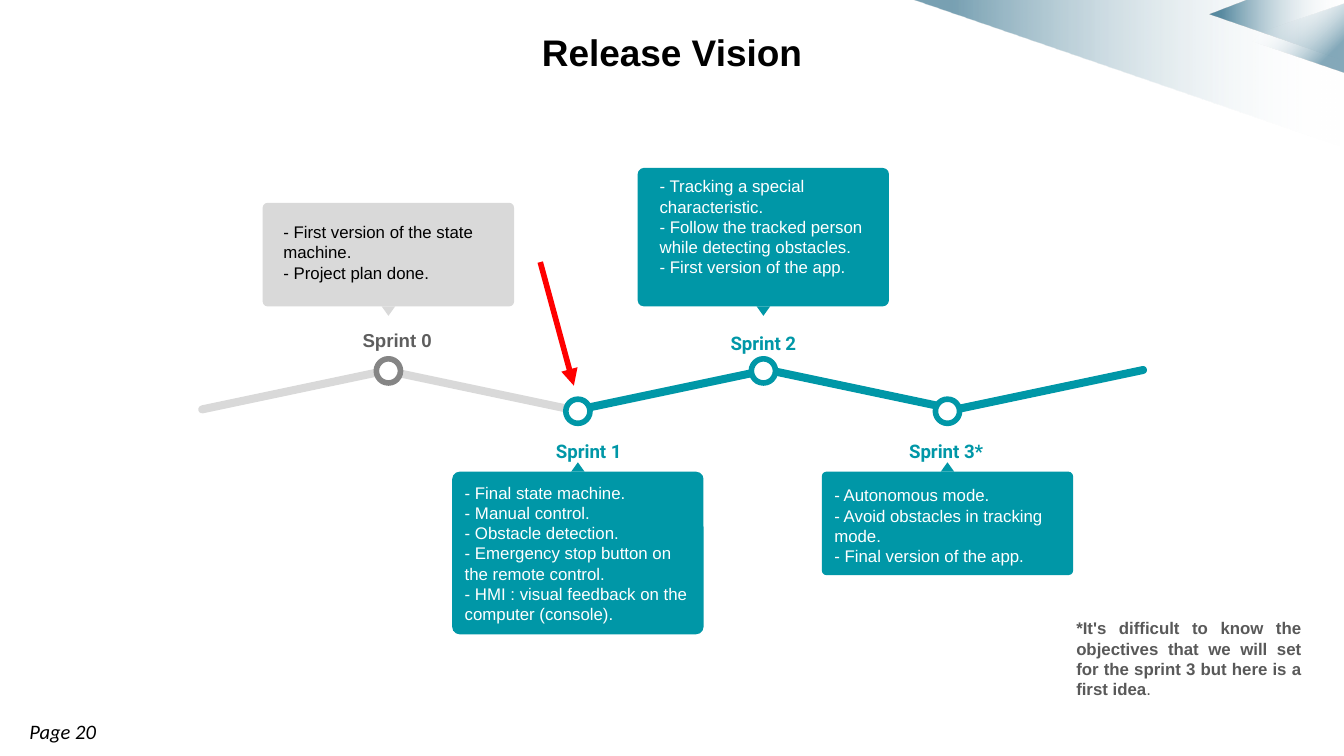
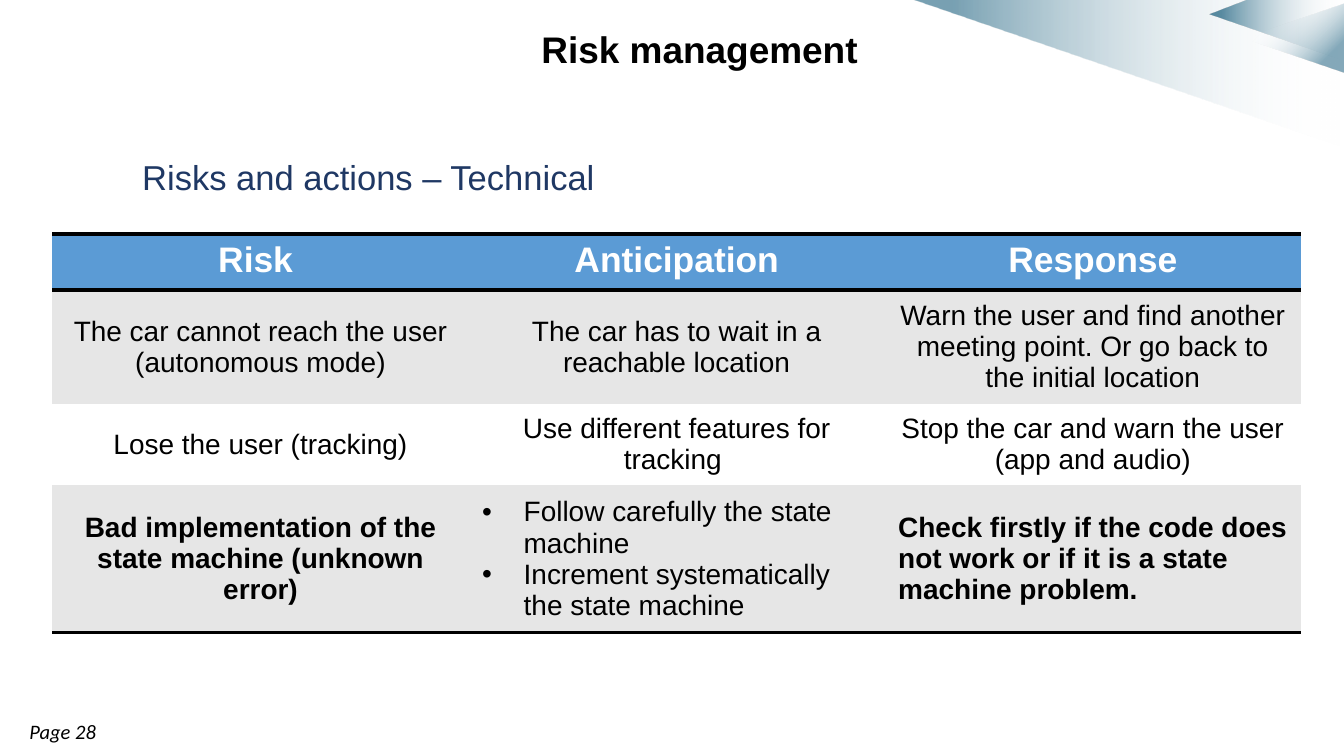
from dataclasses import dataclass

from lxml.etree import SubElement
from pptx import Presentation
from pptx.dml.color import RGBColor
from pptx.enum.shapes import MSO_CONNECTOR as Link, MSO_SHAPE as Kind
from pptx.enum.text import MSO_ANCHOR as Anchor, PP_ALIGN as Align
from pptx.oxml import parse_xml
from pptx.oxml.ns import nsdecls, qn
from pptx.util import Inches, Pt


@dataclass(frozen=True)
class Theme:
    teal: str = "0097A7"
    grey: str = "D9D9D9"
    ring: str = "858585"
    label: str = "5E5E5E"
    note: str = "595959"
    navy: str = "1F3864"
    red: str = "FF0000"
    white: str = "FFFFFF"
    black: str = "000000"
    band: str = "004D6F"
    head: str = "5B9BD5"
    row: str = "E6E6E6"
    font: str = "Arial"
    accent: str = "Roboto"
    foot: str = "Calibri"
    title: float = 19.8
    sub: float = 18.5
    th: float = 19
    td: float = 15
    page: float = 11
    tag: float = 10
    small: float = 9


T = Theme()


@dataclass
class Sprint:
    name: str
    x: float          # centre of the node
    up: bool          # card above the line
    height: float     # card height
    tag: tuple        # label left, top, width, height
    area: tuple       # text left, top, width, height
    goals: list
    done: bool = False


SPRINTS = [
    Sprint("Sprint 0", 2.89, True, 0.77, (2.51, 2.36, 0.89, 0.3), (2.01, 1.55, 1.78, 0.68),
           ["- First version of the state machine.", "- Project plan done."], True),
    Sprint("Sprint 1", 4.3, False, 1.21, (3.92, 3.15, 0.92, 0.3), (3.36, 3.49, 1.87, 1.21),
           ["- Final state machine.", "- Manual control.", "- Obstacle detection.",
            "- Emergency stop button on the remote control.",
            "- HMI : visual feedback on the computer (console)."]),
    Sprint("Sprint 2", 5.68, True, 1.03, (5.3, 2.35, 0.76, 0.3), (4.81, 1.21, 1.74, 1.06),
           ["- Tracking a special characteristic.",
            "- Follow the tracked person while detecting obstacles.",
            "- First version of the app."]),
    Sprint("Sprint 3* ", 7.05, False, 0.77, (6.66, 3.15, 0.76, 0.3), (6.11, 3.51, 1.87, 0.63),
           ["- Autonomous mode.", "- Avoid obstacles in tracking mode.",
            "- Final version of the app."]),
]

# Left, width, colour of each stretch of the line
PARTS = [(1.46, 1.48, T.grey), (2.85, 1.4, T.grey), (4.27, 1.48, T.teal),
         (5.67, 1.48, T.teal), (7.07, 1.48, T.teal)]

RISKS = [
    ["Risk ", "Anticipation", "Response"],
    ["The car cannot reach the user (autonomous mode)",
     "The car has to wait in a reachable location",
     "Warn the user and find another meeting point. Or go back to the initial location"],
    ["Lose the user (tracking)", "Use different features for tracking ",
     "Stop the car and warn the user (app and audio)"],
    ["Bad implementation of the state machine (unknown error)",
     "Follow carefully the state machine\nIncrement systematically the state machine",
     "Check firstly if the code does not work or if it is a state machine problem."],
]


def color(code):
    return RGBColor.from_string(code)


def style(run, size, code, font=T.font, bold=False, italic=False):
    run.font.size, run.font.name = Pt(size), font
    run.font.bold, run.font.italic = bold, italic
    run.font.color.rgb = color(code)


def text(slide, box, words, size, code, align=Align.LEFT, pad=0.1,
         anchor=Anchor.TOP, space=None, **look):
    shape = slide.shapes.add_textbox(*map(Inches, box))
    frame = shape.text_frame
    frame.word_wrap, frame.vertical_anchor = True, anchor
    frame.margin_left = frame.margin_right = Inches(0.1)
    frame.margin_top = frame.margin_bottom = Inches(pad)
    frame.text = words
    for para in frame.paragraphs:
        para.alignment = align
        para.line_spacing = space
        for run in para.runs:
            style(run, size, code, **look)
    return frame


def solid(slide, kind, box, fill, line=None, turn=0):
    shape = slide.shapes.add_shape(kind, *map(Inches, box))
    shape.shadow.inherit = False
    shape.rotation = turn
    shape.fill.solid()
    shape.fill.fore_color.rgb = color(fill)
    if line:
        shape.line.color.rgb = color(line)
        shape.line.width = Pt(3)
    else:
        shape.line.fill.background()
    return shape


# Shared parts: corner bands, title, page number
def fade(shape, angle, start, end, alpha):
    shape.shadow.inherit = False
    shape.line.fill.background()
    shape.fill.gradient()
    shape.fill.gradient_angle = 0
    grad = shape.fill._xPr.find(qn("a:gradFill"))
    grad.set("rotWithShape", "1")
    grad.find(qn("a:lin")).set("ang", str(angle * 60000))
    stops = grad.find(qn("a:gsLst"))
    for stop in list(stops):
        stops.remove(stop)
    for pos, code, part in ((0, T.white, 0), (start, T.white, 0),
                            (end, T.band, alpha), (100, T.band, alpha)):
        stop = SubElement(stops, qn("a:gs"), pos=str(pos * 1000))
        tint = SubElement(stop, qn("a:srgbClr"), val=code)
        SubElement(tint, qn("a:alpha"), val=str(part * 1000))


def band(slide, points, alpha):
    spots = [(Inches(x), Inches(y)) for x, y in points]
    pen = slide.shapes.build_freeform(*spots[0])
    pen.add_line_segments(spots[1:])
    fade(pen.convert_to_shape(), 180, 1, 91, alpha)


def base(deck, page, title, box, align):
    slide = deck.slides.add_slide(deck.slide_layouts[6])
    band(slide, [(10, 1.1), (6.79, 0), (10, 0)], 53)
    band(slide, [(10, 0.45), (9, 0.11), (9.29, 0), (10, 0)], 63)
    wedge = solid(slide, Kind.ISOSCELES_TRIANGLE, (9.37, -0.09, 0.51, 0.75),
                  T.band, turn=270)
    fade(wedge, 135, 27, 81, 48)
    text(slide, (0.12, 5.3, 2.68, 0.29), f"Page {page}", T.page, T.black,
         pad=0.05, font=T.foot, italic=True)
    text(slide, box, title, T.title, T.black, align, 0.05, space=1.15, bold=True)
    return slide


# Timeline parts
def stretch(slide, left, width, fill, turn):
    bar = solid(slide, Kind.ROUNDED_RECTANGLE, (left, 2.87, width, 0.06), fill, turn=turn)
    bar.adjustments[0] = 0.5


def sprint(slide, item):
    fill, ring, ink, tag, font = (
        (T.grey, T.ring, T.black, T.label, T.font) if item.done
        else (T.teal, T.teal, T.white, T.teal, T.accent))
    if item.up:
        node, tip, top, turn = 2.67, 2.28, 2.28 - item.height, 180
    else:
        node, tip, top, turn = 2.97, 3.44, 3.51, 0
    solid(slide, Kind.OVAL, (item.x - 0.09, node, 0.18, 0.18), T.white, ring)
    card = solid(slide, Kind.ROUNDED_RECTANGLE,
                 (item.x - 1.87 / 2, top, 1.87, item.height), fill)
    card.adjustments[0] = 0.045
    solid(slide, Kind.ISOSCELES_TRIANGLE, (item.x - 0.05, tip, 0.1, 0.07), fill, turn=turn)
    text(slide, item.tag, item.name, T.tag, tag, Align.CENTER,
         space=None if item.done else 1.15, font=font, bold=True)
    text(slide, item.area, "\n".join(item.goals), T.small, ink)


def arrow(slide, start, end):
    link = slide.shapes.add_connector(Link.STRAIGHT, *map(Inches, start + end))
    link.line.color.rgb = color(T.red)
    link.line.width = Pt(3)
    SubElement(link.line._get_or_add_ln(), qn("a:tailEnd"), type="triangle")
    SubElement(link._element.spPr, qn("a:effectLst"))


# Table parts
def rule(cell, sides):
    props = cell._tc.get_or_add_tcPr()
    for spot, side in enumerate(sides):
        props.insert(spot, parse_xml(
            f'<a:ln{side} {nsdecls("a")} w="25400"><a:solidFill>'
            f'<a:srgbClr val="{T.black}"/></a:solidFill></a:ln{side}>'))


def bullet(para):
    props = para._p.get_or_add_pPr()
    props.set("marL", str(Inches(0.31)))
    props.set("indent", str(-Inches(0.31)))
    tint = SubElement(props, qn("a:buClr"))
    SubElement(tint, qn("a:srgbClr"), val=T.black)
    SubElement(props, qn("a:buFont"), typeface=T.font)
    SubElement(props, qn("a:buChar"), char="•")


def fill_cell(cell, words, row, col):
    head, last = row == 0, row == len(RISKS) - 1
    cell.fill.solid()
    cell.fill.fore_color.rgb = color(T.head if head else T.row if row % 2 else T.white)
    cell.vertical_anchor = Anchor.TOP if head else Anchor.MIDDLE
    cell.text_frame.text = words
    for para in cell.text_frame.paragraphs:
        para.alignment = Align.LEFT if last and col else Align.CENTER
        if last and col == 1:
            bullet(para)
        for run in para.runs:
            style(run, T.th if head else T.td, T.white if head else T.black,
                  bold=head or (last and col != 1))
    if head or last:
        rule(cell, "TB" if head else "B")


def grid(slide):
    sizes = (0.35, 0.71, 0.5, 0.92)
    width = Inches(9.29)
    frame = slide.shapes.add_table(len(RISKS), 3, Inches(0.39), Inches(1.74),
                                   width, Inches(sum(sizes)))
    table = frame.table
    table.first_row = table.horz_banding = False
    # Plain style without borders
    table._tbl.tblPr.find(qn("a:tableStyleId")).text = "{2D5ABB26-0587-4C30-8999-92F81FD0307C}"
    for col in table.columns:
        col.width = width // 3
    for r, (size, words) in enumerate(zip(sizes, RISKS)):
        table.rows[r].height = Inches(size)
        for c, word in enumerate(words):
            fill_cell(table.cell(r, c), word, r, c)


def vision(deck):
    slide = base(deck, 20, "Release Vision", (2.48, 0.12, 5.04, 0.35), Align.CENTER)
    for i, (left, width, fill) in enumerate(PARTS):
        stretch(slide, left, width, fill, 11.9 if i % 2 else 348.1)
    for item in SPRINTS:
        sprint(slide, item)
    note = text(slide, (7.91, 4.5, 1.87, 0.3),
                "*It's difficult to know the objectives that we will set "
                "for the sprint 3 but here is a first idea",
                T.small, T.note, Align.JUSTIFY, bold=True)
    stop = note.paragraphs[0].add_run()
    stop.text = "."
    style(stop, T.small, T.note)
    arrow(slide, (4.02, 1.95), (4.27, 2.87))


def risks(deck):
    slide = base(deck, 28, "Risk management", (3.58, 0.1, 2.9, 0.35), Align.RIGHT)
    text(slide, (0.96, 0.82, 4.18, 0.75), "Risks and actions – Technical", T.sub, T.navy,
         anchor=Anchor.BOTTOM, space=0.9)
    grid(slide)


def main():
    deck = Presentation()
    deck.slide_width = Inches(10)
    deck.slide_height = deck.slide_width * 9 // 16
    vision(deck)
    risks(deck)
    deck.save("out.pptx")


if __name__ == "__main__":
    main()
